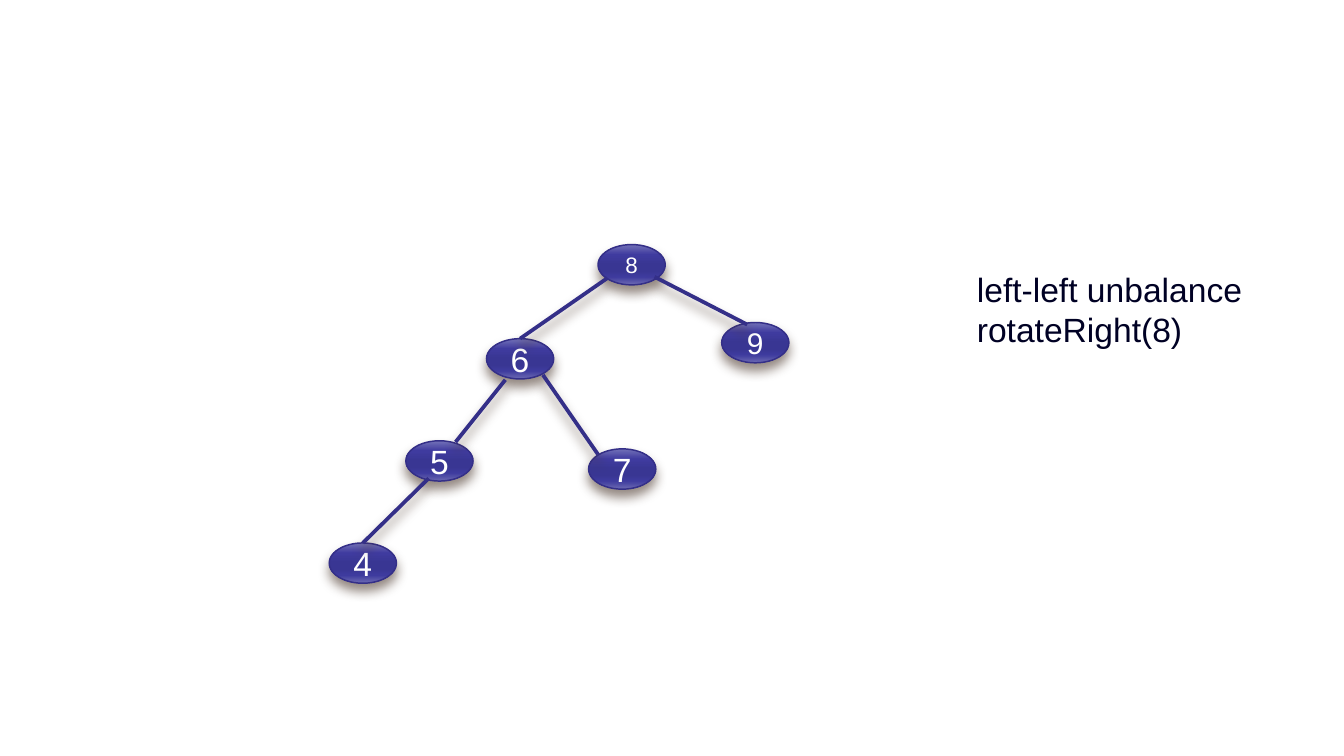
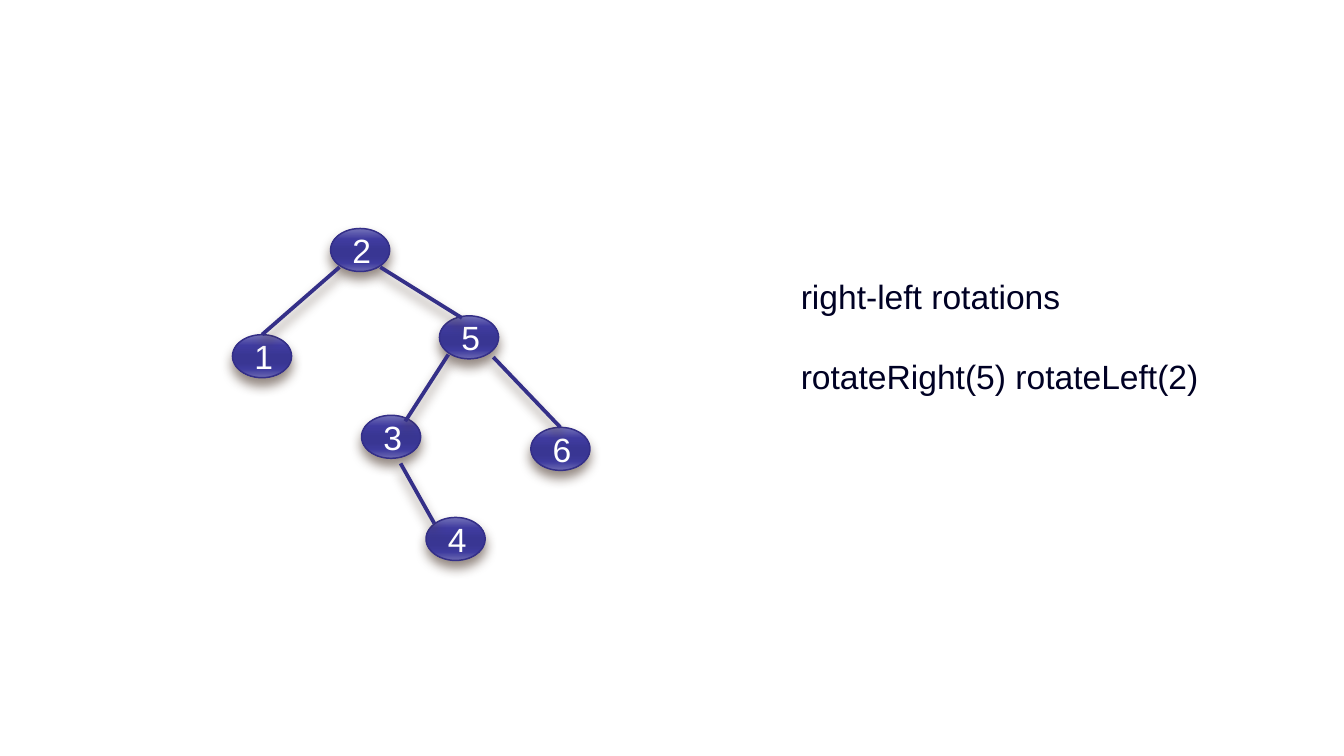
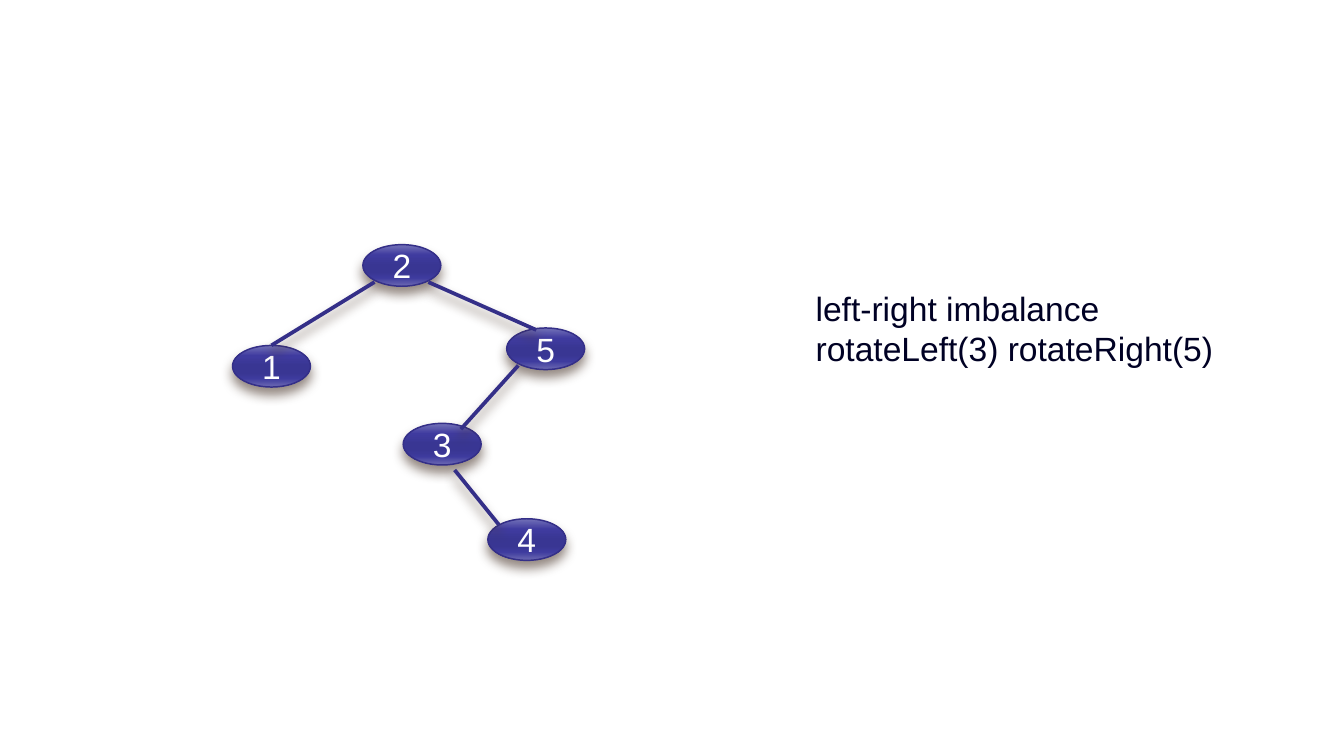
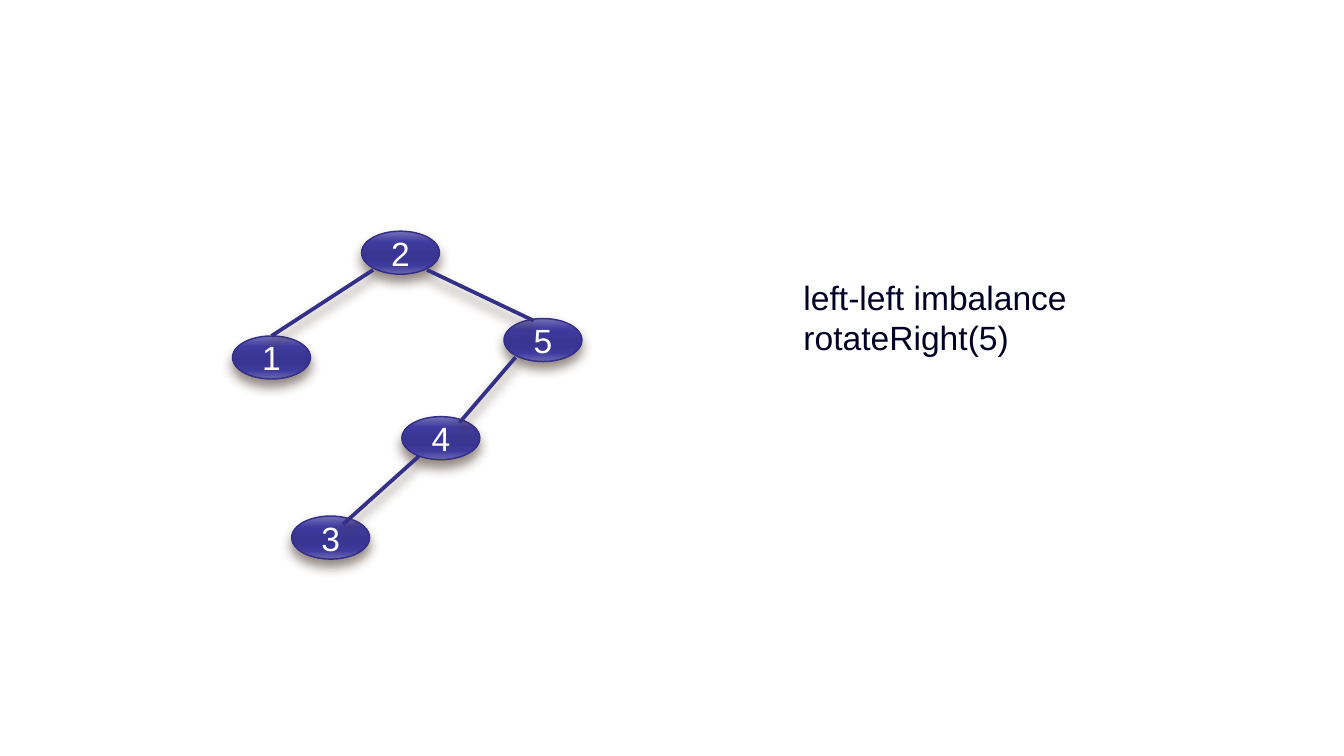
from dataclasses import dataclass

from lxml import etree
from pptx import Presentation
from pptx.dml.color import RGBColor
from pptx.enum.shapes import MSO_CONNECTOR, MSO_SHAPE
from pptx.enum.text import MSO_ANCHOR, MSO_AUTO_SIZE, PP_ALIGN
from pptx.oxml import parse_xml
from pptx.oxml.ns import nsdecls, qn
from pptx.util import Inches, Pt


@dataclass(frozen=True)
class Theme:
    font: str = "Arial"
    ink: str = "000124"
    label: str = "FFFFFF"
    outline: str = "342F88"
    shadow: str = "4E3B30"
    gloss: tuple = ((0, "7472B8"), (25, "3F3B9F"), (50, "393693"),
                    (65, "393693"), (80, "3E3B9E"), (100, "6B69B2"))
    text_size: float = 18
    outline_width: float = 0.79
    branch_width: float = 2
    blank_line: float = 21.7


COLUMNS, ROWS = 100, 56.25

# Places on a node, as shares of its width and height.
TOP = (0.5, 0)
TOP_LEFT = (0.14, 0.14)
TOP_INNER = (0.38, 0.05)
TOP_RIGHT = (0.74, 0.14)
LOW_LEFT = (0.15, 0.9)
LOW_INNER = (0.22, 0.92)
LOW_RIGHT = (0.84, 0.9)
BELOW_RIGHT = (0.66, 1.12)

# Nodes and notes are placed in columns and rows;
# a branch is (parent, child, place on parent, place on child).
TREES = [
    {
        "node_size": (5, 3),
        "nodes": {"8": (44.5, 18.2), "9": (53.7, 24), "5": (30.2, 32.8),
                  "6": (36.2, 25.2), "4": (24.5, 40.4), "7": (43.8, 33.4)},
        "label_sizes": {"8": 12, "9": 16},
        "branches": [("8", "9", (0.84, 0.8), TOP_INNER),
                     ("8", "6", (0.14, 0.83), TOP),
                     ("6", "5", (0.28, 1.02), (0.74, 0.03)),
                     ("6", "7", LOW_RIGHT, TOP_LEFT),
                     ("5", "4", (0.34, 0.93), TOP)],
        "note": ["left-left unbalance", "rotateRight(8)"],
        "note_box": (71.7, 19.5, 21.9, 7.1),
    },
    {
        "node_size": (4.4, 3.2),
        "nodes": {"2": (24.6, 17), "5": (32.7, 23.5), "3": (26.9, 30.9),
                  "1": (17.3, 24.9), "4": (31.7, 38.5), "6": (39.5, 31.8)},
        "branches": [("2", "5", LOW_RIGHT, TOP_INNER),
                     ("2", "1", LOW_LEFT, TOP),
                     ("5", "3", LOW_LEFT, TOP_RIGHT),
                     ("5", "6", (0.91, 0.96), TOP),
                     ("3", "4", BELOW_RIGHT, TOP_LEFT)],
        "note": ["right-left rotations", "rotateRight(5) rotateLeft(2)"],
        "note_box": (58.6, 20, 31.9, 10.1),
        "spread": True,
    },
    {
        "node_size": (5.8, 3.1),
        "nodes": {"2": (27, 18.2), "5": (37.7, 24.4), "3": (30, 31.5),
                  "1": (17.3, 25.7), "4": (36.3, 38.6)},
        "branches": [("2", "5", LOW_RIGHT, TOP_INNER),
                     ("2", "1", LOW_LEFT, TOP),
                     ("5", "3", LOW_LEFT, TOP_RIGHT),
                     ("3", "4", BELOW_RIGHT, TOP_LEFT)],
        "note": ["left-right imbalance", "rotateLeft(3) rotateRight(5)"],
        "note_box": (59.7, 20.9, 31.9, 7.1),
    },
    {
        "node_size": (5.8, 3.2),
        "nodes": {"2": (26.9, 17.2), "5": (37.5, 23.7), "4": (29.9, 31),
                  "1": (17.3, 25), "3": (21.7, 38.4)},
        "branches": [("2", "5", LOW_RIGHT, TOP_INNER),
                     ("2", "1", LOW_LEFT, TOP),
                     ("5", "4", LOW_LEFT, TOP_RIGHT),
                     ("4", "3", LOW_INNER, (0.66, 0.19))],
        "note": ["left-left imbalance", "rotateRight(5)"],
        "note_box": (58.8, 20.1, 21.8, 7.1),
    },
]


class TreeDeck:
    """Holds the theme, the current page and the group its tree is drawn in."""

    def __init__(self, theme):
        self.theme = theme
        self.deck = Presentation()
        self.deck.slide_width = Inches(10)
        self.deck.slide_height = self.deck.slide_width * 9 // 16
        self.page = self.tree = None

    def add_page(self):
        self.page = self.deck.slides.add_slide(self.deck.slide_layouts[6])
        self.tree = self.page.shapes.add_group_shape().shapes

    def across(self, columns):
        return round(self.deck.slide_width * columns / COLUMNS)

    def down(self, rows):
        return round(self.deck.slide_height * rows / ROWS)

    def grid_box(self, left, top, width, height):
        return (self.across(left), self.down(top),
                self.across(width), self.down(height))

    def add_node(self, label, position, node_size, label_size):
        node = self.tree.add_shape(MSO_SHAPE.OVAL,
                                   *self.grid_box(*position, *node_size))
        self.add_gloss(node)
        self.style_line(node, self.theme.outline_width)
        self.add_shadow(node)
        frame = node.text_frame
        frame.text = label
        frame.vertical_anchor = MSO_ANCHOR.MIDDLE
        frame.paragraphs[0].alignment = PP_ALIGN.CENTER
        self.style_text(frame.paragraphs[0], label_size, self.theme.label)
        return node

    def add_branch(self, parent, child, leave, arrive):
        branch = self.tree.add_connector(
            MSO_CONNECTOR.STRAIGHT,
            *self.place_on(parent, leave), *self.place_on(child, arrive))
        if arrive == TOP:
            branch.end_connect(child, 0)
        self.style_line(branch, self.theme.branch_width)
        self.add_shadow(branch)

    def add_note(self, lines, note_box, spread):
        """Write one paragraph per line, a blank line apart when spread."""
        box = self.page.shapes.add_textbox(*self.grid_box(*note_box))
        frame = box.text_frame
        frame.text = "\n".join(lines)
        frame.word_wrap = False
        frame.auto_size = MSO_AUTO_SIZE.SHAPE_TO_FIT_TEXT
        for index, para in enumerate(frame.paragraphs):
            if spread and index:
                para.space_before = Pt(self.theme.blank_line)
            self.style_text(para, self.theme.text_size, self.theme.ink)

    def style_text(self, para, size, color):
        for span in para.runs:
            span.font.name = self.theme.font
            span.font.size = Pt(size)
            span.font.color.rgb = RGBColor.from_string(color)

    def style_line(self, shape, width):
        shape.line.color.rgb = RGBColor.from_string(self.theme.outline)
        shape.line.width = Pt(width)

    def add_gloss(self, node):
        node.fill.gradient()
        node.fill.gradient_angle = 270
        stops = node._element.spPr.find(qn("a:gradFill")).find(qn("a:gsLst"))
        for stop in list(stops):
            stops.remove(stop)
        for percent, color in self.theme.gloss:
            stop = etree.SubElement(stops, qn("a:gs"), pos=str(percent * 1000))
            etree.SubElement(stop, qn("a:srgbClr"), val=color)

    def add_shadow(self, shape):
        shape._element.spPr.append(parse_xml(
            f'<a:effectLst {nsdecls("a")}>'
            f'<a:outerShdw blurRad="{Pt(6)}" dist="{Pt(4)}" dir="5400000"'
            ' rotWithShape="0">'
            f'<a:srgbClr val="{self.theme.shadow}"><a:alpha val="60000"/>'
            '</a:srgbClr></a:outerShdw></a:effectLst>'))

    @staticmethod
    def place_on(node, share):
        return (round(node.left + node.width * share[0]),
                round(node.top + node.height * share[1]))

    def draw(self, tree):
        self.add_page()
        label_sizes = tree.get("label_sizes", {})
        nodes = {
            label: self.add_node(label, position, tree["node_size"],
                                 label_sizes.get(label, self.theme.text_size))
            for label, position in tree["nodes"].items()}
        for parent, child, leave, arrive in tree["branches"]:
            self.add_branch(nodes[parent], nodes[child], leave, arrive)
        self.add_note(tree["note"], tree["note_box"], tree.get("spread", False))


def main():
    trees = TreeDeck(Theme())
    for tree in TREES:
        trees.draw(tree)
    trees.deck.save("out.pptx")


if __name__ == "__main__":
    main()
